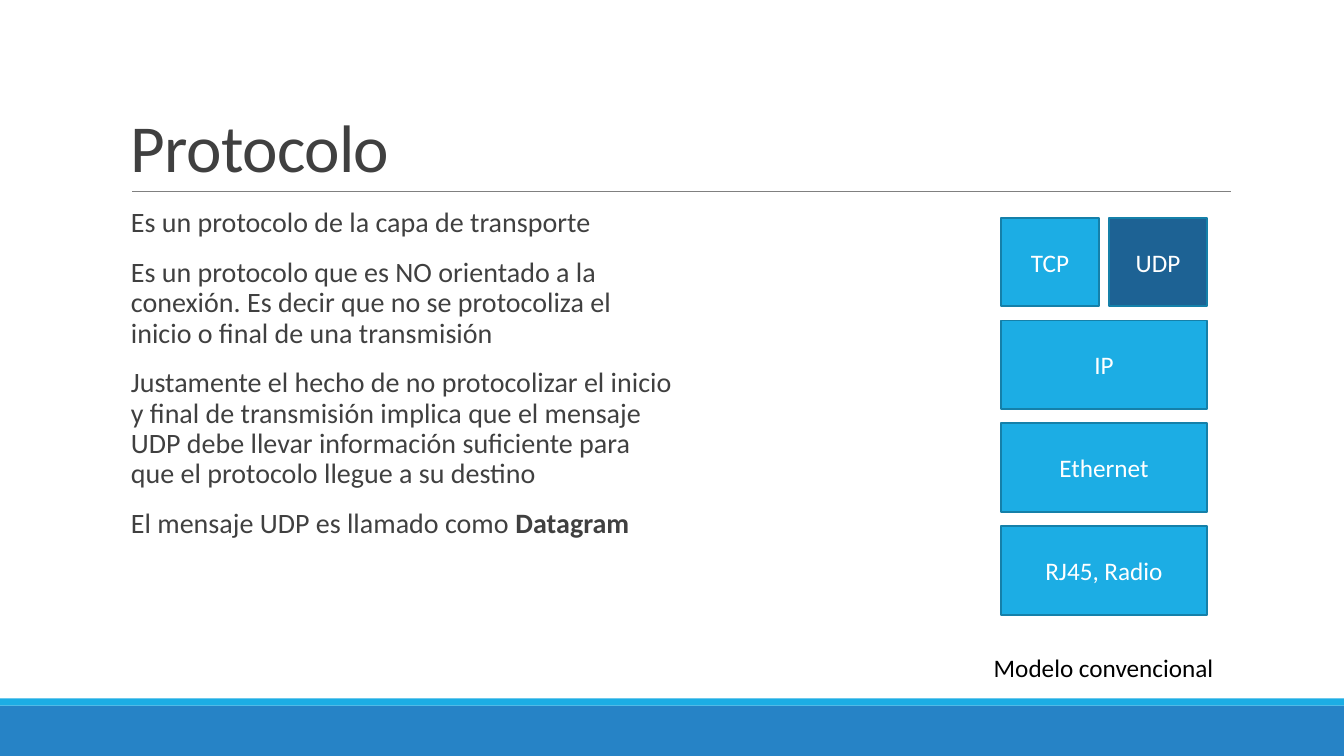
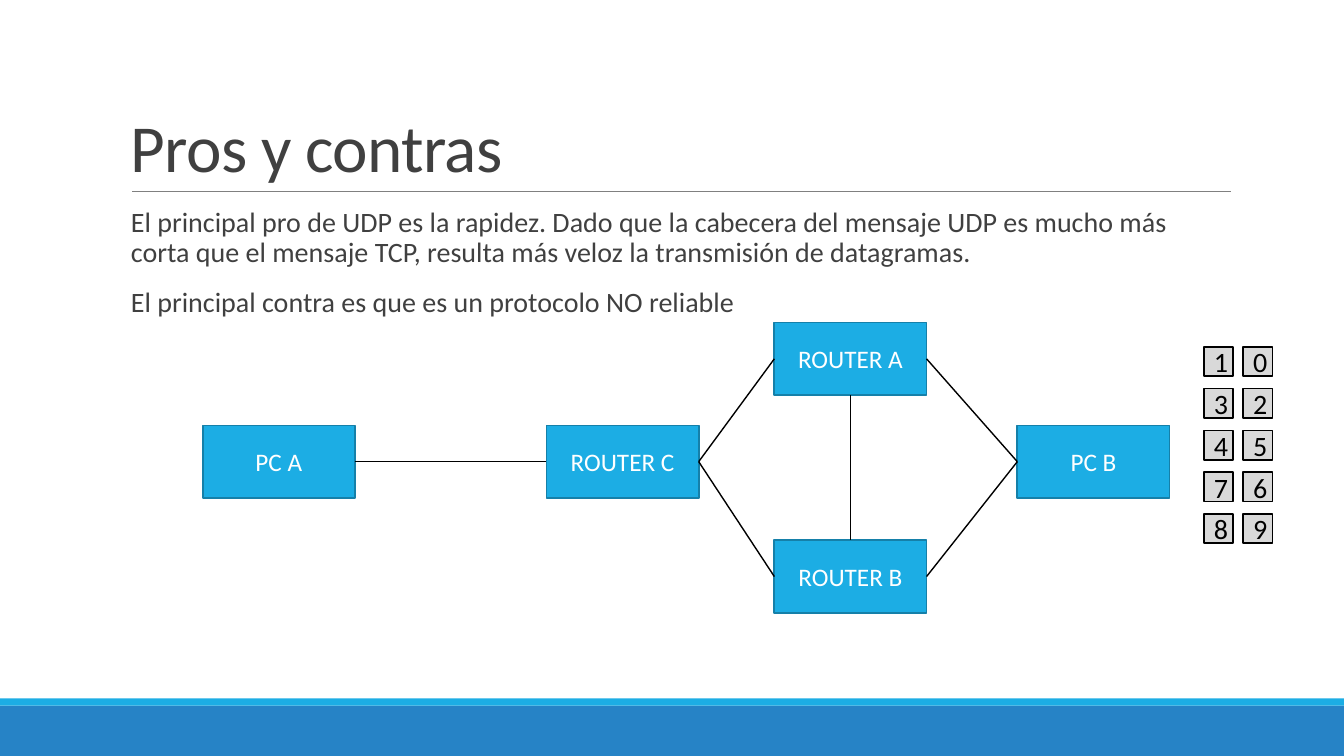
from lxml.etree import SubElement
from pptx import Presentation
from pptx.dml.color import RGBColor
from pptx.enum.shapes import MSO_CONNECTOR, MSO_SHAPE
from pptx.enum.text import MSO_ANCHOR, PP_ALIGN
from pptx.oxml.ns import qn
from pptx.util import Inches, Pt

COLORS = {
    "footer": "2683C6",
    "accent": "1CADE4",
    "highlight": "1D6294",
    "border": "1580A9",
    "rule": "808080",
    "text": "404040",
    "packet": "D9D9D9",
    "black": "000000",
    "white": "FFFFFF",
}
FONT = "Calibri"
SLIDE_WIDTH, SLIDE_HEIGHT = 13.33, 7.5
MARGIN, CONTENT_WIDTH = 1.2, 11
TOP, LEFT, BOTTOM, RIGHT = range(4)


def color(name):
    return RGBColor.from_string(COLORS[name])


def write_text(shape, paragraphs, *, size=18, ink="text", align=PP_ALIGN.LEFT,
               anchor=MSO_ANCHOR.TOP, wrap=True, line_spacing=None,
               before=0, after=0, tracking=None, right_inset=0.1):
    frame = shape.text_frame
    frame.word_wrap = wrap
    frame.vertical_anchor = anchor
    frame.margin_right = Inches(right_inset)
    for index, content in enumerate(paragraphs):
        paragraph = frame.add_paragraph() if index else frame.paragraphs[0]
        paragraph.alignment = align
        paragraph.line_spacing = line_spacing
        paragraph.space_before = Pt(before)
        paragraph.space_after = Pt(after)
        for position, piece in enumerate(content.split("**")):
            if not piece:
                continue
            run = paragraph.add_run()
            run.text = piece
            run.font.name = FONT
            run.font.size = Pt(size)
            run.font.color.rgb = color(ink)
            run.font.bold = position % 2 == 1
            if tracking is not None:
                run.font._element.set("spc", str(round(tracking * 100)))


def add_text(slide, left, top, width, height, paragraphs, **text_format):
    shape = slide.shapes.add_textbox(
        Inches(left), Inches(top), Inches(width), Inches(height))
    write_text(shape, paragraphs, **text_format)


def add_box(slide, left, top, width, height, label=None, *, fill="accent",
            border="border", ink="white", size=18):
    shape = slide.shapes.add_shape(
        MSO_SHAPE.RECTANGLE,
        Inches(left), Inches(top), Inches(width), Inches(height))
    shape.shadow.inherit = False
    shape.fill.solid()
    shape.fill.fore_color.rgb = color(fill)
    if border:
        shape.line.color.rgb = color(border)
        shape.line.width = Pt(1.25)
    else:
        shape.line.fill.background()
    if label:
        write_text(shape, [label], size=size, ink=ink,
                   align=PP_ALIGN.CENTER, anchor=MSO_ANCHOR.MIDDLE)
    return shape


def add_line(slide, start=(0, 0), end=(0, 0), *, ink="black", weight=1):
    line = slide.shapes.add_connector(
        MSO_CONNECTOR.STRAIGHT, *(Inches(value) for value in (*start, *end)))
    line.line.color.rgb = color(ink)
    line.line.width = Pt(weight)
    SubElement(line._element.spPr, qn("a:effectLst"))
    return line


def link_boxes(slide, first, first_side, second, second_side):
    line = add_line(slide)
    line.begin_connect(first, first_side)
    line.end_connect(second, second_side)


def add_content_slide(presentation, title, body, body_width):
    slide = presentation.slides.add_slide(presentation.slide_layouts[6])
    add_box(slide, 0, 7, SLIDE_WIDTH, 0.5, fill="footer", border=None)
    add_box(slide, 0, 6.93, SLIDE_WIDTH, 0.07, border=None)
    add_line(slide, (1.31, 1.9), (12.21, 1.9), ink="rule", weight=0.5)
    add_text(slide, MARGIN, 0.31, CONTENT_WIDTH, 1.59, [title], size=48,
             anchor=MSO_ANCHOR.BOTTOM, line_spacing=0.85, tracking=-0.5)
    add_text(slide, MARGIN, 2.02, body_width, 4.4, body, size=20,
             line_spacing=0.9, before=12, after=2, right_inset=0)
    return slide


def add_layer_stack(slide, layers):
    left, top, width, height = 9.93, 2.16, 2.04, 0.88
    pitch, gap = 1.02, 0.1
    for row, labels in enumerate(layers):
        box_width = (width - gap * (len(labels) - 1)) / len(labels)
        for column, label in enumerate(labels):
            add_box(slide, left + column * (box_width + gap),
                    top + row * pitch, box_width, height, label,
                    fill="highlight" if label == "UDP" else "accent")


def add_network(slide):
    positions = {
        "PC A": (2.01, 4.22),
        "ROUTER C": (5.42, 4.22),
        "ROUTER A": (7.68, 3.2),
        "ROUTER B": (7.68, 5.36),
        "PC B": (10.09, 4.22),
    }
    links = [
        ("PC A", RIGHT, "ROUTER C", LEFT),
        ("ROUTER C", RIGHT, "ROUTER A", LEFT),
        ("ROUTER C", RIGHT, "ROUTER B", LEFT),
        ("ROUTER A", BOTTOM, "ROUTER B", TOP),
        ("PC B", LEFT, "ROUTER A", RIGHT),
        ("PC B", LEFT, "ROUTER B", RIGHT),
    ]
    nodes = {label: add_box(slide, left, top, 1.51, 0.72, label)
             for label, (left, top) in positions.items()}
    for first, first_side, second, second_side in links:
        link_boxes(slide, nodes[first], first_side, nodes[second], second_side)


def add_packets(slide, rows):
    left, top, side = 11.94, 3.44, 0.29
    column_pitch, row_pitch = 0.39, 1.66 / (len(rows) - 1)
    for row, digits in enumerate(rows):
        for column, digit in enumerate(digits):
            add_box(slide, left + column * column_pitch, top + row * row_pitch,
                    side, side, digit, fill="packet", border="black",
                    ink="black", size=20)


def build_protocol_slide(presentation):
    slide = add_content_slide(presentation, "Protocolo", [
        "Es un protocolo de la capa de transporte",
        "Es un protocolo que es NO orientado a la conexión. Es decir que no "
        "se protocoliza el inicio o final de una transmisión",
        "Justamente el hecho de no protocolizar el inicio y final de "
        "transmisión implica que el mensaje UDP debe llevar información "
        "suficiente para que el protocolo llegue a su destino",
        "El mensaje UDP es llamado como **Datagram**",
    ], 5.48)
    add_layer_stack(slide, [["TCP", "UDP"], ["IP"], ["Ethernet"], ["RJ45, Radio"]])
    add_text(slide, 9.74, 6.42, 2.41, 0.4, ["Modelo convencional"],
             ink="black", align=PP_ALIGN.CENTER, wrap=False)


def build_tradeoffs_slide(presentation):
    slide = add_content_slide(presentation, "Pros y contras", [
        "El principal pro de UDP es la rapidez. Dado que la cabecera del "
        "mensaje UDP es mucho más corta que el mensaje TCP, resulta más veloz "
        "la transmisión de datagramas.",
        "El principal contra es que es un protocolo NO reliable",
    ], CONTENT_WIDTH)
    add_network(slide)
    add_packets(slide, ["10", "32", "45", "76", "89"])


def main():
    presentation = Presentation()
    presentation.slide_width = Inches(SLIDE_WIDTH)
    presentation.slide_height = Inches(SLIDE_HEIGHT)
    build_protocol_slide(presentation)
    build_tradeoffs_slide(presentation)
    presentation.save("out.pptx")


if __name__ == "__main__":
    main()
